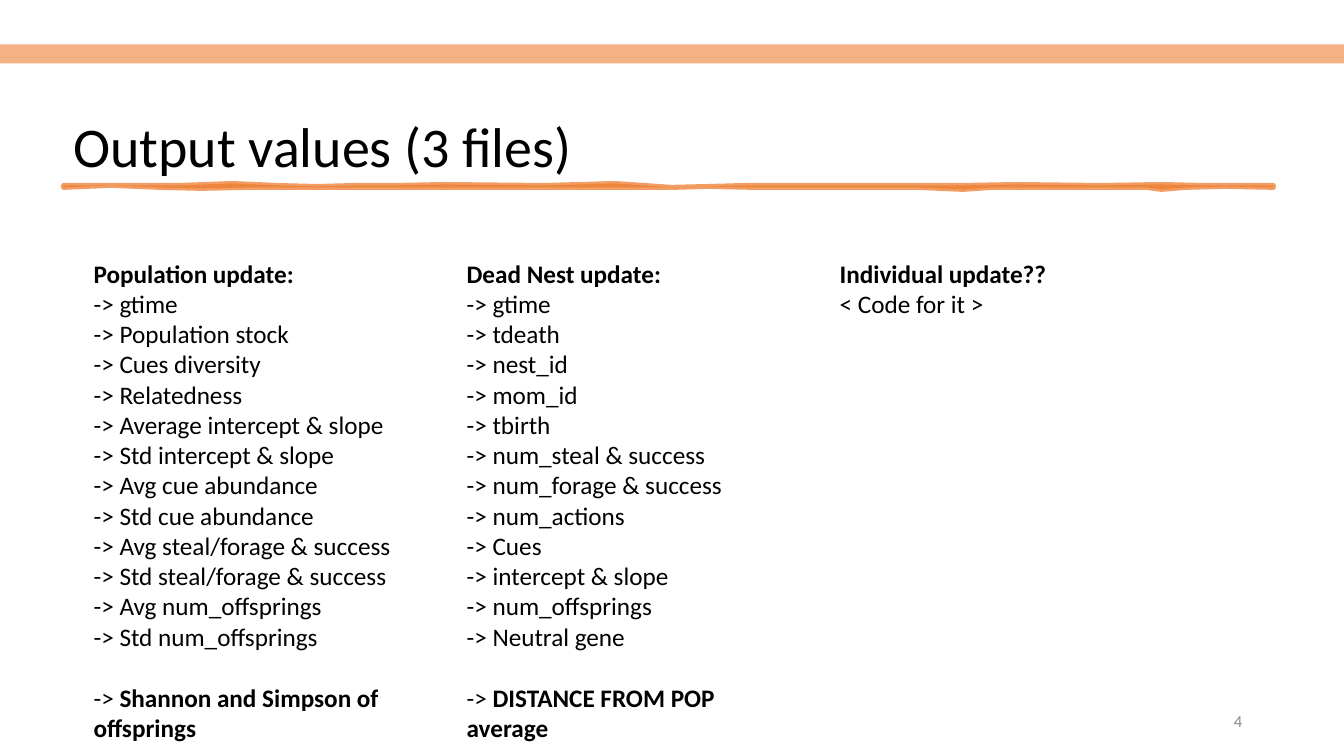
from lxml import etree
from pptx import Presentation
from pptx import util as u
from pptx.dml.color import RGBColor
from pptx.enum import shapes, text
from pptx.oxml import ns

PX = 9144  # EMU per px, 100 px to the inch
FONT = "Calibri"
COLORS = {"text": "000000", "number": "8C8C8C", "band": "F4B183", "brush": "ED7D31"}

# Brush stroke: x and y of the points along each edge
BRUSH_TOP = [
    (63, 184), (102, 184), (177, 184), (230, 182), (276, 184), (314, 185),
    (351, 184), (390, 184), (441, 183), (540, 184), (575, 183), (610, 182),
    (639, 184), (668, 186), (738, 184), (852, 184), (915, 184), (954, 184),
    (1008, 183), (1092, 184), (1152, 183), (1194, 184), (1263, 184),
]
BRUSH_BOTTOM = [
    (1263, 186), (1215, 185), (1176, 186), (1152, 188), (1137, 186),
    (1098, 186), (1023, 186), (984, 186), (955, 188), (909, 186),
    (822, 186), (780, 186), (747, 186), (700, 185), (660, 186),
    (573, 186), (534, 186), (483, 186), (420, 186), (345, 186),
    (246, 186), (200, 187), (159, 186), (110, 184), (63, 186),
]

# Each column: heading, lines, bold closing line
COLUMNS = [
    ("Population update:",
     ["-> gtime", "-> Population stock", "-> Cues diversity", "-> Relatedness",
      "-> Average intercept & slope", "-> Std intercept & slope",
      "-> Avg cue abundance", "-> Std cue abundance",
      "-> Avg steal/forage & success", "-> Std steal/forage & success",
      "-> Avg num_offsprings", "-> Std num_offsprings"],
     "Shannon and Simpson of offsprings"),
    ("Dead Nest update:",
     ["-> gtime", "-> tdeath", "-> nest_id", "-> mom_id", "-> tbirth",
      "-> num_steal & success", "-> num_forage & success", "-> num_actions",
      "-> Cues", "-> intercept & slope", "-> num_offsprings", "-> Neutral gene"],
     "DISTANCE FROM POP average"),
    ("Individual update??", ["< Code for it >"], None),
]


def rgb(name):
    return RGBColor.from_string(COLORS[name])


def add_text_frame(slide, left, top, width, height, anchor):
    box = slide.shapes.add_textbox(left * PX, top * PX, width * PX, height * PX)
    frame = box.text_frame
    frame.word_wrap = True
    frame.vertical_anchor = anchor
    return frame


def format_run(run, size, color="text", bold=False):
    run.font.name = FONT
    run.font.size = u.Pt(size)
    run.font.bold = bold
    run.font.color.rgb = rgb(color)


def add_label(slide, label, place, anchor, size, color="text"):
    paragraph = add_text_frame(slide, *place, anchor).paragraphs[0]
    paragraph.text = label
    format_run(paragraph.runs[0], size, color)
    return paragraph


def add_column(slide, left, heading, lines, closing):
    frame = add_text_frame(slide, left, 251, 340, 495 if closing else 101,
                           text.MSO_ANCHOR.TOP)
    frame.text = "\n".join([heading] + lines)
    for index, paragraph in enumerate(frame.paragraphs):
        format_run(paragraph.runs[0], 18, bold=index == 0)
    if closing:
        paragraph = frame.add_paragraph()
        paragraph.text = "-> "
        paragraph.space_before = u.Pt(22)
        format_run(paragraph.runs[0], 18)
        run = paragraph.add_run()
        run.text = closing
        format_run(run, 18, bold=True)


def add_band(slide):
    band = slide.shapes.add_shape(shapes.MSO_SHAPE.RECTANGLE,
                                  0, 44 * PX, 1333 * PX, 19 * PX)
    band.shadow.inherit = False
    band.fill.solid()
    band.fill.fore_color.rgb = rgb("band")
    band.line.fill.background()


def add_brush_stroke(slide):
    outline = BRUSH_TOP + BRUSH_BOTTOM
    builder = slide.shapes.build_freeform(*outline[0], scale=PX)
    builder.add_line_segments(outline[1:], close=True)
    stroke = builder.convert_to_shape()
    stroke.shadow.inherit = False
    stroke.fill.solid()
    stroke.fill.fore_color.rgb = rgb("brush")
    stroke.line.color.rgb = rgb("brush")
    stroke.line.width = u.Pt(3.5)
    # Transparency and round corners
    properties = stroke.element.spPr
    for color in properties.iter(ns.qn("a:srgbClr")):
        etree.SubElement(color, ns.qn("a:alpha"), val="75000")
    etree.SubElement(properties.find(ns.qn("a:ln")), ns.qn("a:round"))


def main():
    presentation = Presentation()
    presentation.slide_width = 1333 * PX
    presentation.slide_height = 750 * PX
    slide = presentation.slides.add_slide(presentation.slide_layouts[6])

    # Title with its brush stroke
    title = add_label(slide, "Output values (3 files)", (63, 26, 1205, 157),
                      text.MSO_ANCHOR.BOTTOM, 40)
    title.line_spacing = 0.9
    add_brush_stroke(slide)

    # Slide number and top band
    number = add_label(slide, "4", (942, 695, 300, 40),
                       text.MSO_ANCHOR.MIDDLE, 12, "number")
    number.alignment = text.PP_ALIGN.RIGHT
    add_band(slide)

    # Three columns of output values
    for index, column in enumerate(COLUMNS):
        add_column(slide, 83 + 370 * index, *column)

    presentation.save("out.pptx")


if __name__ == "__main__":
    main()
